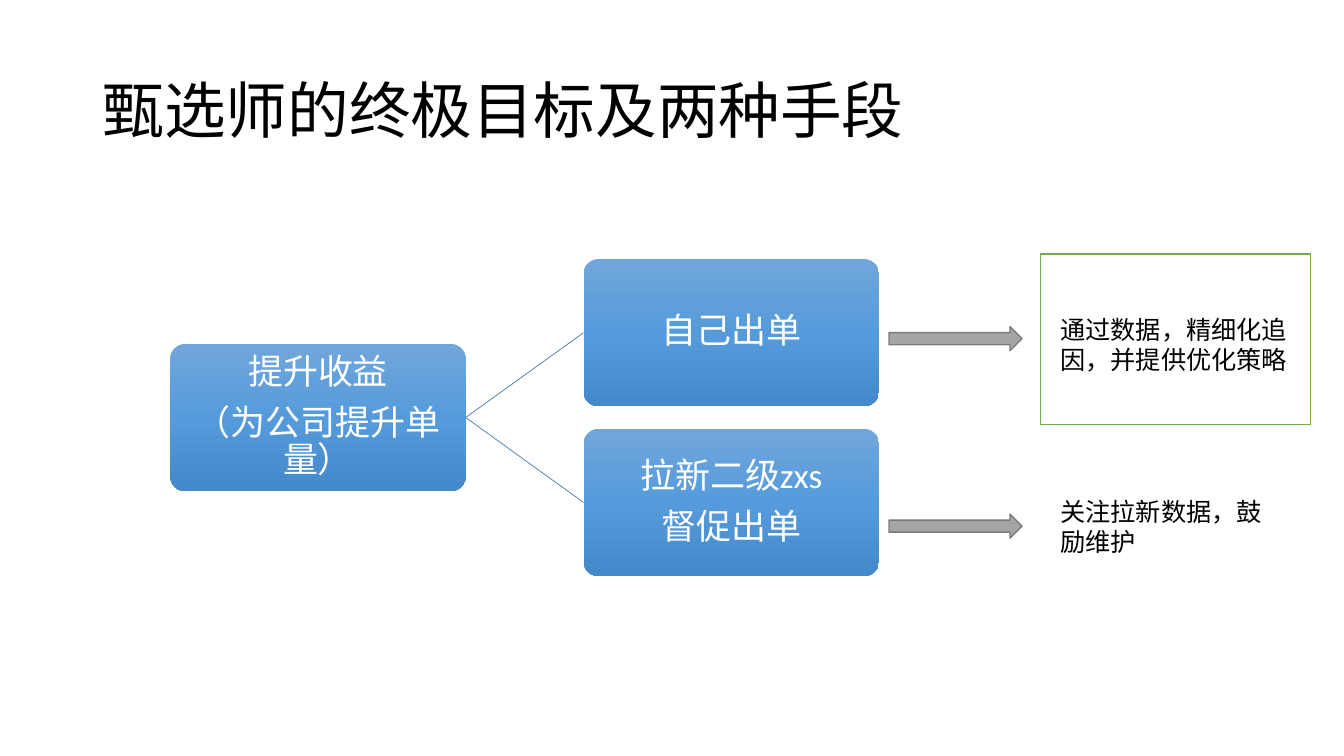
from copy import deepcopy
from dataclasses import dataclass

from lxml.etree import SubElement
from pptx import Presentation
from pptx.dml.color import RGBColor
from pptx.enum.shapes import MSO_CONNECTOR, MSO_SHAPE
from pptx.enum.text import MSO_ANCHOR, PP_ALIGN
from pptx.oxml.ns import qn
from pptx.util import Inches, Pt


# Colours and type sizes
@dataclass(frozen=True)
class Theme:
    font: str = "Calibri"
    ink: str = "000000"
    paper: str = "FFFFFF"
    card: tuple = ("71A6DB", "559BDB", "448ACA")
    branch: str = "497CAB"
    arrow: str = "A5A5A5"
    arrow_edge: str = "7A7A7A"
    frame: str = "70AD47"
    title_size: int = 44
    card_size: int = 25
    note_size: int = 18


class Page:
    """One slide on a grid of 40 columns by 30 rows."""

    def __init__(self, deck, theme):
        self.theme = theme
        self.shapes = deck.slides.add_slide(deck.slide_layouts[6]).shapes
        self.column = deck.slide_width / 40
        self.row = deck.slide_height / 30

    def place(self, *lengths):
        """Turn alternating columns and rows into slide lengths."""
        return [round(length * (self.row if index % 2 else self.column))
                for index, length in enumerate(lengths)]

    def set_lines(self, frame, lines, size, color, anchor, spacing=1.0, after=0,
                  align=PP_ALIGN.LEFT):
        frame.word_wrap = True
        frame.vertical_anchor = anchor
        for index, line in enumerate(lines):
            para = frame.add_paragraph() if index else frame.paragraphs[0]
            para.text = line
            para.alignment = align
            para.line_spacing = spacing
            para.space_after = Pt(after)
            para.font.name = self.theme.font
            para.font.size = Pt(size)
            para.font.color.rgb = RGBColor.from_string(color)

    def text(self, box, line, size, anchor=MSO_ANCHOR.TOP, spacing=1.0):
        frame = self.shapes.add_textbox(*self.place(*box)).text_frame
        self.set_lines(frame, [line], size, self.theme.ink, anchor, spacing)

    def outlined(self, kind, box, fill, edge):
        shape = self.shapes.add_shape(kind, *self.place(*box))
        shape.shadow.inherit = False
        shape.fill.solid()
        shape.fill.fore_color.rgb = RGBColor.from_string(fill)
        shape.line.color.rgb = RGBColor.from_string(edge)
        shape.line.width = Pt(1)

    def card(self, box, lines):
        shape = self.shapes.add_shape(MSO_SHAPE.ROUNDED_RECTANGLE, *self.place(*box))
        shape.adjustments[0] = 0.1
        shape.shadow.inherit = False
        shape.line.fill.background()
        # Three-stop gradient from top to bottom
        shape.fill.gradient()
        shape.fill.gradient_angle = 270
        stops = shape._element.spPr.find(".//" + qn("a:gsLst"))
        stops.insert(1, deepcopy(stops[0]))
        for index, (stop, color) in enumerate(zip(shape.fill.gradient_stops, self.theme.card)):
            stop.position = index / 2
            stop.color.rgb = RGBColor.from_string(color)
        frame = shape.text_frame
        frame.margin_left = frame.margin_right = Inches(0.02)
        frame.margin_top = frame.margin_bottom = Inches(0.02)
        self.set_lines(frame, lines, self.theme.card_size, self.theme.paper,
                       MSO_ANCHOR.MIDDLE, 0.9, 9, PP_ALIGN.CENTER)

    def branch(self, start, end):
        line = self.shapes.add_connector(MSO_CONNECTOR.STRAIGHT, *self.place(*start, *end))
        line.line.color.rgb = RGBColor.from_string(self.theme.branch)
        line.line.width = Pt(0.5)
        SubElement(line._element.spPr, qn("a:effectLst"))


def main():
    deck = Presentation()
    deck.slide_width, deck.slide_height = Inches(13.33), Inches(7.5)
    theme = Theme()
    page = Page(deck, theme)

    # Title
    page.text((2.76, 1.6, 34.5, 5.8), "甄选师的终极目标及两种手段",
              theme.title_size, MSO_ANCHOR.MIDDLE, 0.9)

    # Goal, centred beside its two means
    card_width, card_height = 8.79, 5.84
    goal_left, means_left = 5.07, 17.37
    means_top, means_step = 10.28, 6.74
    goal_top = means_top + means_step / 2
    page.card((goal_left, goal_top, card_width, card_height),
              ["提升收益", "（为公司提升单量）"])

    # Frame around the first note
    page.outlined(MSO_SHAPE.RECTANGLE, (30.96, 10.08, 8.04, 6.76), theme.paper, theme.frame)

    # Means: card, branch from the goal, arrow and note
    means = [
        (["自己出单"], 12.96, "通过数据，精细化追因，并提供优化策略", 12.28, 7.44),
        (["拉新二级zxs", "督促出单"], 20.4, "关注拉新数据，鼓励维护", 19.48, 7.08),
    ]
    fork = (goal_left + card_width, goal_top + card_height / 2)
    for index, (lines, arrow_top, note, note_top, note_width) in enumerate(means):
        top = means_top + index * means_step
        page.branch(fork, (means_left, top + card_height / 2))
        page.card((means_left, top, card_width, card_height), lines)
        page.outlined(MSO_SHAPE.RIGHT_ARROW, (26.46, arrow_top, 3.96, 0.96),
                      theme.arrow, theme.arrow_edge)
        page.text((31.26, note_top, note_width, 2.84), note, theme.note_size)

    deck.save("out.pptx")


if __name__ == "__main__":
    main()
